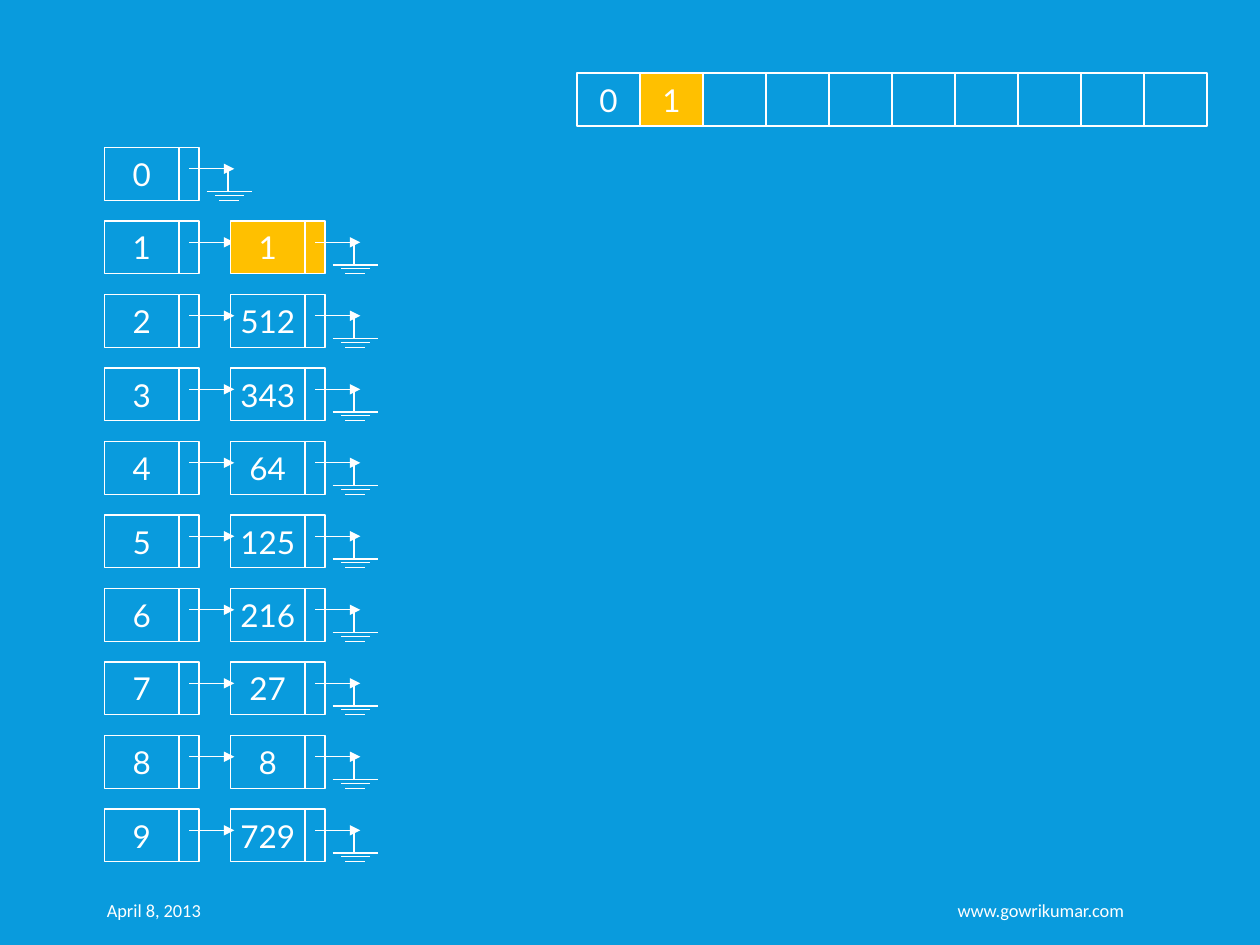
from lxml import etree
from pptx import Presentation
from pptx.dml.color import RGBColor
from pptx.enum.shapes import MSO_CONNECTOR, MSO_SHAPE
from pptx.enum.text import MSO_ANCHOR, PP_ALIGN
from pptx.oxml.ns import qn
from pptx.util import Inches, Pt

RECTANGLE = MSO_SHAPE.RECTANGLE
STRAIGHT = MSO_CONNECTOR.STRAIGHT
MIDDLE = MSO_ANCHOR.MIDDLE
LEFT, CENTER, RIGHT = PP_ALIGN.LEFT, PP_ALIGN.CENTER, PP_ALIGN.RIGHT

BLUE, WHITE, AMBER = "099BDD", "FFFFFF", "FFC000"
LINE_WIDTH = Pt(0.75)
CELL_HEIGHT = 0.42
VALUE_WIDTH, POINTER_WIDTH = 0.59, 0.16
BUCKET_LEFT, BUCKET_TOP = 0.83, 1.17
ROW_STEP, NODE_STEP = 7 / 12, 1
ARRAY_LEFT, ARRAY_TOP, ARRAY_STEP = 4.58, 0.58, 0.5
GROUND_LINES = [(0.81, 0.35, 1.17, 0.35), (0.91, 0.42, 1.07, 0.42),
                (0.88, 0.38, 1.11, 0.38), (0.98, 0.35, 0.98, 0.17)]
SORTED_VALUES = ["0", "1"] + [""] * 8
BUCKET_VALUES = ["", "1", "512", "343", "64", "125", "216", "27", "8", "729"]
CURRENT = "1"


def color(hex_code):
    return RGBColor.from_string(hex_code)


def set_text(shape, text, font, size, align, wrap):
    frame = shape.text_frame
    for name, value in {"word_wrap": wrap, "vertical_anchor": MIDDLE}.items():
        setattr(frame, name, value)
    para = frame.paragraphs[0]
    para.alignment = align
    span = para.add_run()
    span.text = text
    for name, value in {"name": font, "size": Pt(size)}.items():
        setattr(span.font, name, value)
    span.font.color.rgb = color(WHITE)


def add_box(shapes, left, top, width, text="", fill=None):
    box = shapes.add_shape(RECTANGLE, Inches(left), Inches(top), Inches(width), Inches(CELL_HEIGHT))
    box.shadow.inherit = False
    if fill:
        box.fill.solid()
        box.fill.fore_color.rgb = color(fill)
    else:
        box.fill.background()
    box.line.color.rgb = color(WHITE)
    box.line.width = LINE_WIDTH
    if text:
        set_text(box, text, "Lato", 18, CENTER, False)


def add_line(shapes, left, top, ends, arrow=False):
    x1, y1, x2, y2 = ends
    line = shapes.add_connector(STRAIGHT, Inches(left + x1), Inches(top + y1),
                                Inches(left + x2), Inches(top + y2))
    line.line.color.rgb = color(WHITE)
    line.line.width = LINE_WIDTH
    if arrow:
        etree.SubElement(line.line._get_or_add_ln(), qn("a:tailEnd"), type="triangle")
    etree.SubElement(line._element.spPr, qn("a:effectLst"))


def add_node(slide, left, top, text, is_last, fill=None):
    shapes = slide.shapes.add_group_shape().shapes
    add_box(shapes, left, top, VALUE_WIDTH, text, fill)
    add_box(shapes, left + VALUE_WIDTH, top, POINTER_WIDTH, fill=fill)
    add_line(shapes, left, top, (0.67, 0.17, 1.03, 0.17), arrow=True)
    if is_last:
        for ends in GROUND_LINES:
            add_line(shapes, left, top, ends)


def add_buckets(slide):
    for row, value in enumerate(BUCKET_VALUES):
        top = BUCKET_TOP + row * ROW_STEP
        add_node(slide, BUCKET_LEFT, top, str(row), not value)
        if value:
            fill = AMBER if value == CURRENT else None
            add_node(slide, BUCKET_LEFT + NODE_STEP, top, value, True, fill)


def add_array(slide):
    for column, value in enumerate(SORTED_VALUES):
        fill = AMBER if value == CURRENT else None
        add_box(slide.shapes, ARRAY_LEFT + column * ARRAY_STEP, ARRAY_TOP, ARRAY_STEP, value, fill)


def add_footer(slide, left, width, text, align, right_inset):
    box = slide.shapes.add_textbox(Inches(left), Inches(7.02), Inches(width), Inches(0.4))
    box.text_frame.margin_right = Inches(right_inset)
    set_text(box, text, "Calibri", 10.5, align, True)


def main():
    deck = Presentation()
    deck.slide_width, deck.slide_height = Inches(10), Inches(7.5)
    page = deck.slides.add_slide(deck.slide_layouts[6])
    page.background.fill.solid()
    page.background.fill.fore_color.rgb = color(BLUE)
    add_footer(page, 0.75, 2.84, "April 8, 2013", LEFT, 0.05)
    add_footer(page, 4.58, 4.44, "www.gowrikumar.com", RIGHT, 0.1)
    add_array(page)
    add_buckets(page)
    deck.save("out.pptx")


if __name__ == "__main__":
    main()
